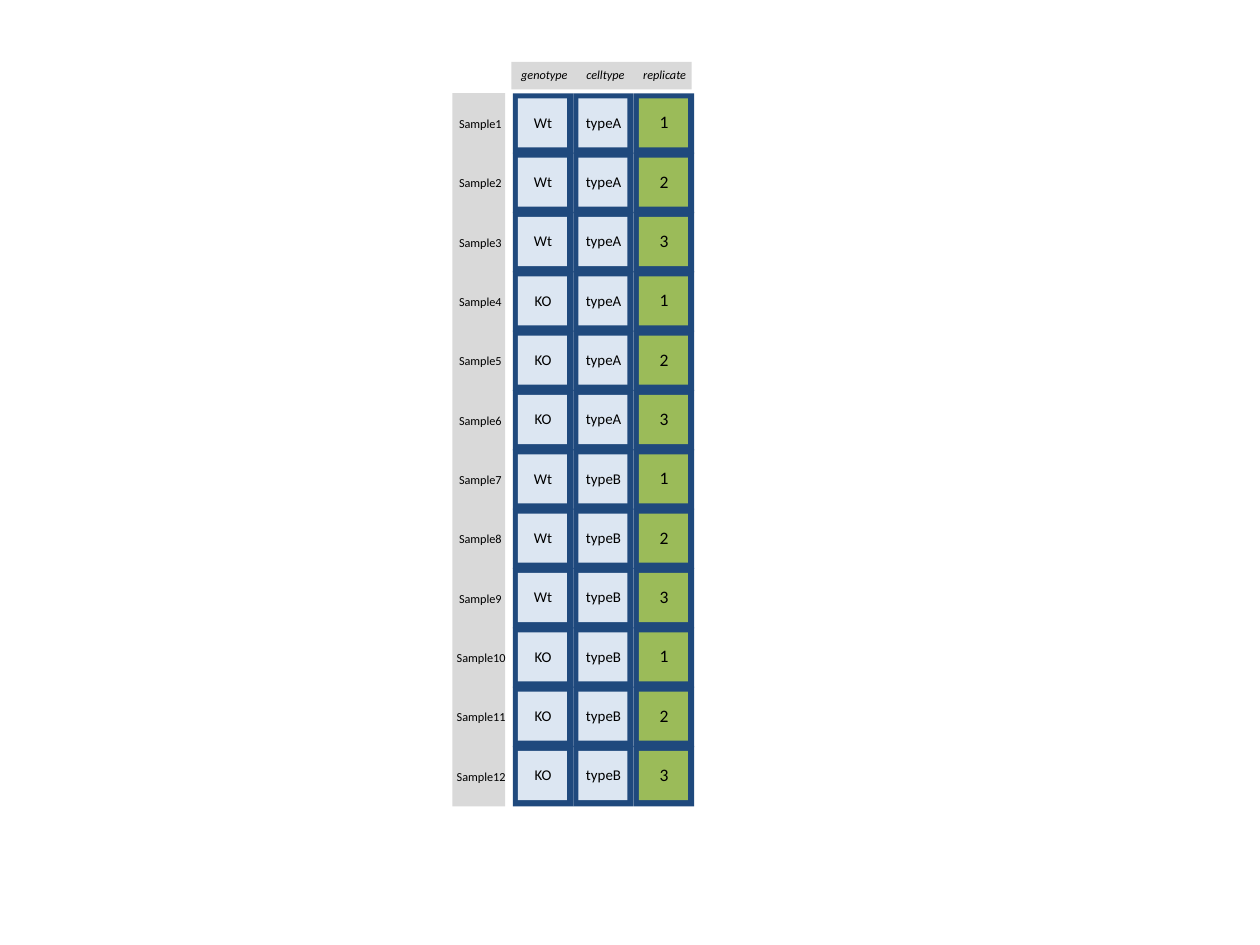
from itertools import product

from pptx import Presentation
from pptx.dml.color import RGBColor
from pptx.enum.shapes import MSO_SHAPE as SHAPE
from pptx.enum.text import MSO_ANCHOR as ANCHOR, MSO_AUTO_SIZE as AUTO, PP_ALIGN as ALIGN
from pptx.util import Inches, Pt

FONT = "Calibri"
BLACK, GREY, NAVY, PALE, GREEN = "000000", "D9D9D9", "1F497D", "DCE6F2", "9BBB59"

SAMPLES = list(product(["typeA", "typeB"], ["Wt", "KO"], ["1", "2", "3"]))
TOP, BOTTOM, LEFT = 0.74, 6.4, 4.07
CELL, INSET, TILE = 0.48, 0.04, 0.39
PITCH = (BOTTOM - TOP - CELL) / (len(SAMPLES) - 1)


def rgb(color):
    return RGBColor.from_string(color)


def add_rect(s, x, y, w, h, fill):
    sp = s.shapes.add_shape(SHAPE.RECTANGLE, Inches(x), Inches(y), Inches(w), Inches(h))
    sp.shadow.inherit = False
    sp.fill.solid()
    sp.fill.fore_color.rgb = rgb(fill)
    sp.line.fill.background()


def add_text(s, text, x, y, w, h, size=8.5, align=ALIGN.CENTER, anchor=ANCHOR.TOP,
             italic=False, color=BLACK):
    sp = s.shapes.add_textbox(Inches(x), Inches(y), Inches(w), Inches(h))
    tf = sp.text_frame
    tf.word_wrap = False
    tf.auto_size = AUTO.SHAPE_TO_FIT_TEXT
    tf.vertical_anchor = anchor
    p = tf.paragraphs[0]
    p.alignment = align
    r = p.add_run()
    r.text = text
    r.font.name, r.font.size, r.font.italic = FONT, Pt(size), italic
    r.font.color.rgb = rgb(color)


def add_header(s):
    add_rect(s, 4.06, 0.49, 1.43, 0.22, GREY)
    for x, w, text in [(4.02, 0.6, "genotype"), (4.54, 0.53, "celltype"),
                       (4.99, 0.57, "replicate")]:
        add_text(s, text, x, 0.48, w, 0.22, size=7, anchor=ANCHOR.MIDDLE, italic=True)


def add_cell(s, col, y, text, fill, w, h, size=8.5):
    """Draw a framed tile with its text centred on the tile."""
    x = LEFT + col * CELL
    add_rect(s, x, y, CELL, CELL, NAVY)
    add_rect(s, x + INSET, y + INSET, TILE, TILE, fill)
    add_text(s, text, x + (CELL - w) / 2, y + (CELL - h) / 2 - 0.01, w, h, size=size)


def add_sample_label(s, number, y):
    x, w = (3.53, 0.55) if number < 10 else (3.52, 0.59)
    add_text(s, f"Sample{number}", x, y + 0.13, w, 0.22, size=7,
             align=ALIGN.RIGHT, anchor=ANCHOR.MIDDLE)


def main():
    prs = Presentation()
    prs.slide_width, prs.slide_height = Inches(10), Inches(7.5)
    s = prs.slides.add_slide(prs.slide_layouts[6])

    add_header(s)
    add_rect(s, 3.59, TOP, 0.42, BOTTOM - TOP, GREY)
    for i, (celltype, genotype, replicate) in enumerate(SAMPLES):
        y = TOP + i * PITCH
        add_cell(s, 0, y, genotype, PALE, 0.35, 0.24)
        add_cell(s, 1, y, celltype, PALE, 0.49, 0.24)
        add_cell(s, 2, y, replicate, GREEN, 0.27, 0.27, size=10)
        add_sample_label(s, i + 1, y)

    prs.save("out.pptx")


if __name__ == "__main__":
    main()
